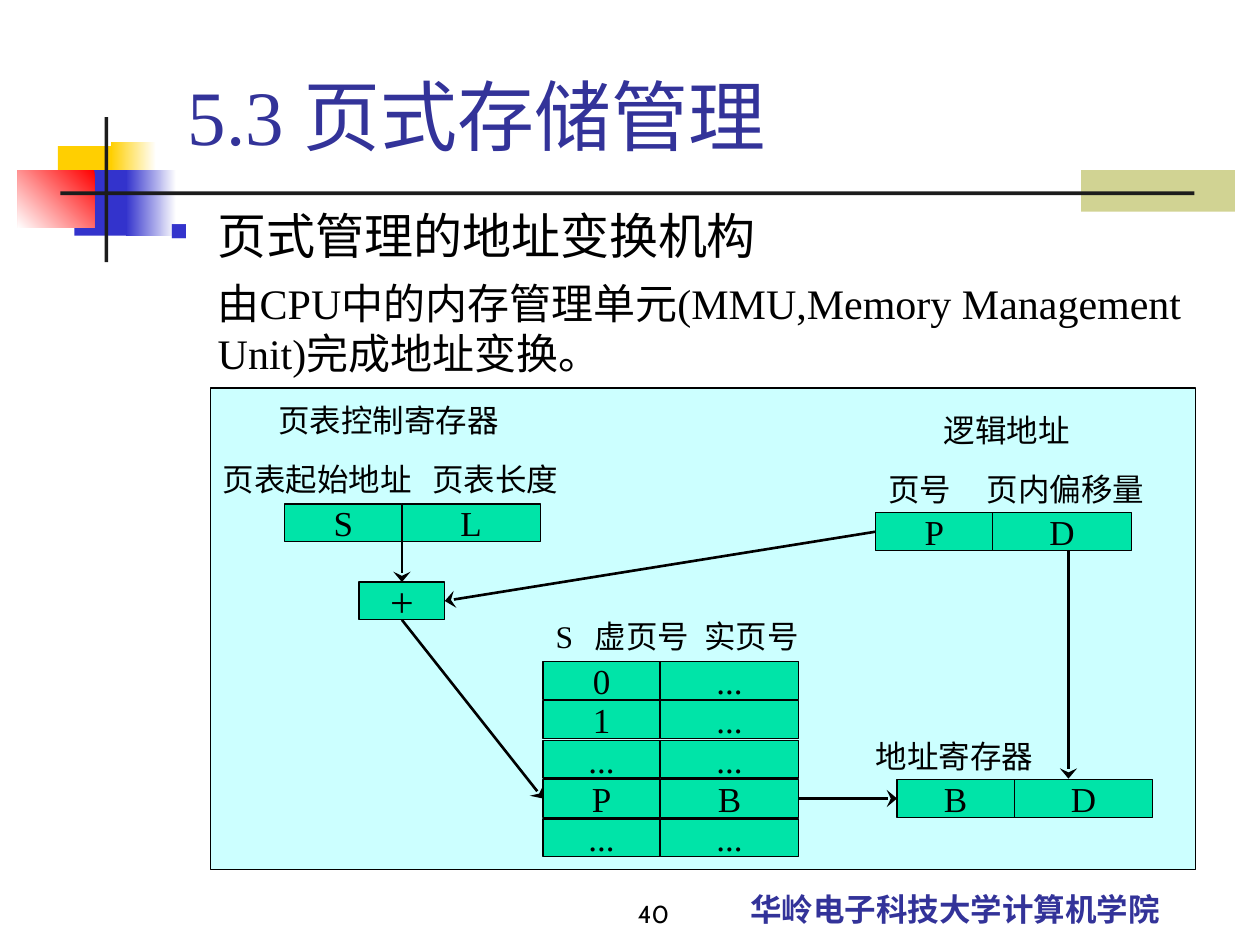
from lxml import etree
from pptx import Presentation
from pptx.dml.color import RGBColor
from pptx.enum.shapes import MSO_CONNECTOR, MSO_SHAPE
from pptx.enum.text import MSO_ANCHOR, PP_ALIGN
from pptx.oxml.ns import qn
from pptx.util import Inches, Pt

RECT, STRAIGHT = MSO_SHAPE.RECTANGLE, MSO_CONNECTOR.STRAIGHT
TOP, MIDDLE, BOTTOM = MSO_ANCHOR.TOP, MSO_ANCHOR.MIDDLE, MSO_ANCHOR.BOTTOM
LEFT, CENTER, RIGHT = PP_ALIGN.LEFT, PP_ALIGN.CENTER, PP_ALIGN.RIGHT

BLACK = RGBColor(0x00, 0x00, 0x00)
WHITE = RGBColor(0xFF, 0xFF, 0xFF)
NAVY = RGBColor(0x33, 0x33, 0x99)
BLUE = RGBColor(0x33, 0x33, 0xCC)
YELLOW = RGBColor(0xFF, 0xCF, 0x01)
RED = RGBColor(0xFF, 0x00, 0x00)
OLIVE = RGBColor(0xD1, 0xD3, 0x93)
CHARCOAL = RGBColor(0x1C, 0x1C, 0x1C)
PANEL = RGBColor(0xCC, 0xFF, 0xFF)
CELL = RGBColor(0x00, 0xE4, 0xA8)
SERIF, SANS, NUMBER = "Times New Roman", "Noto Sans CJK SC", "Cabin"

W, H = 10, 7.5
ROW = H / 24                    # pitch of the page table rows
CELL_H = 0.3
COL_1, COL_2 = 0.93, 1.1        # widths of the two fields of a register

prs = Presentation()
prs.slide_width, prs.slide_height = Inches(W), Inches(H)
s = prs.slides.add_slide(prs.slide_layouts[5])


def write(sp, text, size, font, color=BLACK, align=LEFT, anchor=MIDDLE,
          inset=0, wrap=False, bold=False, new=False):
    """Add one formatted paragraph to a shape."""
    tf = sp.text_frame
    tf.word_wrap, tf.vertical_anchor = wrap, anchor
    tf.margin_left = tf.margin_right = Inches(inset)
    tf.margin_top = tf.margin_bottom = Inches(inset / 2)
    p = tf.add_paragraph() if new else tf.paragraphs[0]
    p.alignment = align
    r = p.add_run()
    r.text = text
    r.font.size, r.font.name, r.font.bold = Pt(size), font, bold
    r.font.color.rgb = color
    etree.SubElement(r.font._element, qn("a:ea"), typeface=SANS)
    return p


def box(x, y, w, h, fill, text=None, size=20, outlined=True):
    """Add a rectangle, filled plainly or with (start, end, angle)."""
    sp = s.shapes.add_shape(RECT, Inches(x), Inches(y), Inches(w), Inches(h))
    sp.shadow.inherit = False
    if isinstance(fill, RGBColor):
        sp.fill.solid()
        sp.fill.fore_color.rgb = fill
    else:
        sp.fill.gradient()
        sp.fill.gradient_angle = fill[2]
        for stop, color in zip(sp.fill.gradient_stops, fill):
            stop.color.rgb = color
    if outlined:
        sp.line.color.rgb, sp.line.width = BLACK, Pt(0.75)
    else:
        sp.line.fill.background()
    if text:
        write(sp, text, size, SERIF, align=CENTER)
    return sp


# Decoration around the title
for x, y, w, h, fill in [
    (8.58, 1.35, 1.22, 0.33, OLIVE),
    (0.46, 1.16, 0.48, 0.52, YELLOW),
    (0.88, 1.13, 0.36, 0.52, (WHITE, YELLOW, 180)),
    (0.59, 1.35, 0.46, 0.52, BLUE),
    (1.00, 1.35, 0.40, 0.52, (WHITE, BLUE, 180)),
    (0.14, 1.35, 0.61, 0.46, (RED, WHITE, 225)),
    (0.83, 0.93, 0.03, 1.15, CHARCOAL),
    (0.48, 1.52, 9.00, 0.03, CHARCOAL),
]:
    box(x, y, w, h, fill, outlined=False)

# Title
title = s.shapes.title
title.left, title.top = Inches(1.39), Inches(0.5)
title.width, title.height = Inches(8.52), Inches(0.83)
write(title, "5.3 页式存储管理", 44, SERIF, NAVY, anchor=BOTTOM, inset=0.1, wrap=True)

# Footer and page number
footer = s.shapes.add_textbox(Inches(5.33), Inches(6.83), Inches(4.5), Inches(0.58))
write(footer, "华岭电子科技大学计算机学院", 18, SANS, NAVY, CENTER, BOTTOM, 0.1, True, True)
number = s.shapes.add_textbox(Inches(3.33), Inches(6.92), Inches(2.08), Inches(0.5))
write(number, "40", 14, NUMBER, align=RIGHT, anchor=BOTTOM, inset=0.1, wrap=True)

# Body text
body = s.shapes.add_textbox(Inches(1.25), Inches(1.58), Inches(8.5), Inches(1.5))
heading = write(body, "页式管理的地址变换机构", 28, SERIF, anchor=TOP, inset=0.1, wrap=True)
detail = write(body, "由CPU中的内存管理单元(MMU,Memory Management Unit)完成地址变换。",
               24, SERIF, anchor=TOP, inset=0.1, wrap=True, new=True)
for p, before, indent in [(heading, 7.7, -0.38), (detail, 6.7, 0)]:
    p.space_before, p.space_after = Pt(before), Pt(0.7)
    pPr = p._p.get_or_add_pPr()
    pPr.set("marL", str(Inches(0.38)))
    pPr.set("indent", str(Inches(indent)))
pPr = heading._p.get_or_add_pPr()
color = etree.SubElement(pPr, qn("a:buClr"))
etree.SubElement(color, qn("a:srgbClr"), val=str(BLUE))
etree.SubElement(pPr, qn("a:buSzPct"), val="50000")
etree.SubElement(pPr, qn("a:buChar"), char="■")

# Diagram panel, registers and page table
box(1.67, 3.08, 7.82, 3.82, PANEL)
adder = box(2.85, 4.62, 0.68, CELL_H, CELL, "+", 24)
table_top = 5.25
pairs = [(2.26, 4, "S", "L"), (6.95, 4.07, "P", "D"),
         (7.12, table_top + 3 * ROW, "B", "D")]
entries = [("0", "..."), ("1", "..."), ("...", "..."), ("P", "B"), ("...", "...")]
pairs += [(4.31, table_top + i * ROW, a, b) for i, (a, b) in enumerate(entries)]
fields = [(box(x, y, COL_1, CELL_H, CELL, a), box(x + COL_1, y, COL_2, CELL_H, CELL, b))
          for x, y, a, b in pairs]
control, logical, physical = fields[:3]
matched = fields[3 + 3]

# Labels: left edge, middle height, text
for x, y, text, font in [
    (2.21, 3.33, "页表控制寄存器", SANS),
    (1.77, 3.80, "页表起始地址", SANS),
    (3.43, 3.80, "页表长度", SANS),
    (7.49, 3.41, "逻辑地址", SANS),
    (7.05, 3.88, "页号", SANS),
    (7.83, 3.88, "页内偏移量", SANS),
    (4.41, 5.05, "S", SERIF),
    (4.72, 5.05, "虚页号", SANS),
    (5.59, 5.05, "实页号", SANS),
    (6.95, 6.00, "地址寄存器", SANS),
]:
    label = s.shapes.add_textbox(Inches(x), Inches(y - 0.2),
                                 Inches(len(text) * 0.25), Inches(0.4))
    write(label, text, 18, font)

# Arrows: ends, then the (shape, side) joined at each end
for x1, y1, x2, y2, start, end in [
    (6.95, 4.22, 3.53, 4.77, (logical[0], 1), (adder, 3)),
    (3.19, 4.3, 3.19, 4.62, None, (adder, 0)),
    (3.19, 4.92, 4.31, 6.34, (adder, 2), (matched[0], 1)),
    (6.34, 6.34, 7.12, 6.34, (matched[1], 3), (physical[0], 1)),
    (8.48, 4.37, 8.48, 6.18, None, None),
]:
    arrow = s.shapes.add_connector(STRAIGHT, Inches(x1), Inches(y1), Inches(x2), Inches(y2))
    if start:
        arrow.begin_connect(*start)
    if end:
        arrow.end_connect(*end)
    arrow.line.color.rgb, arrow.line.width = BLACK, Pt(1.5)
    etree.SubElement(arrow.line._get_or_add_ln(), qn("a:tailEnd"), type="stealth", w="lg")
    etree.SubElement(arrow._element.spPr, qn("a:effectLst"))

prs.save("out.pptx")
